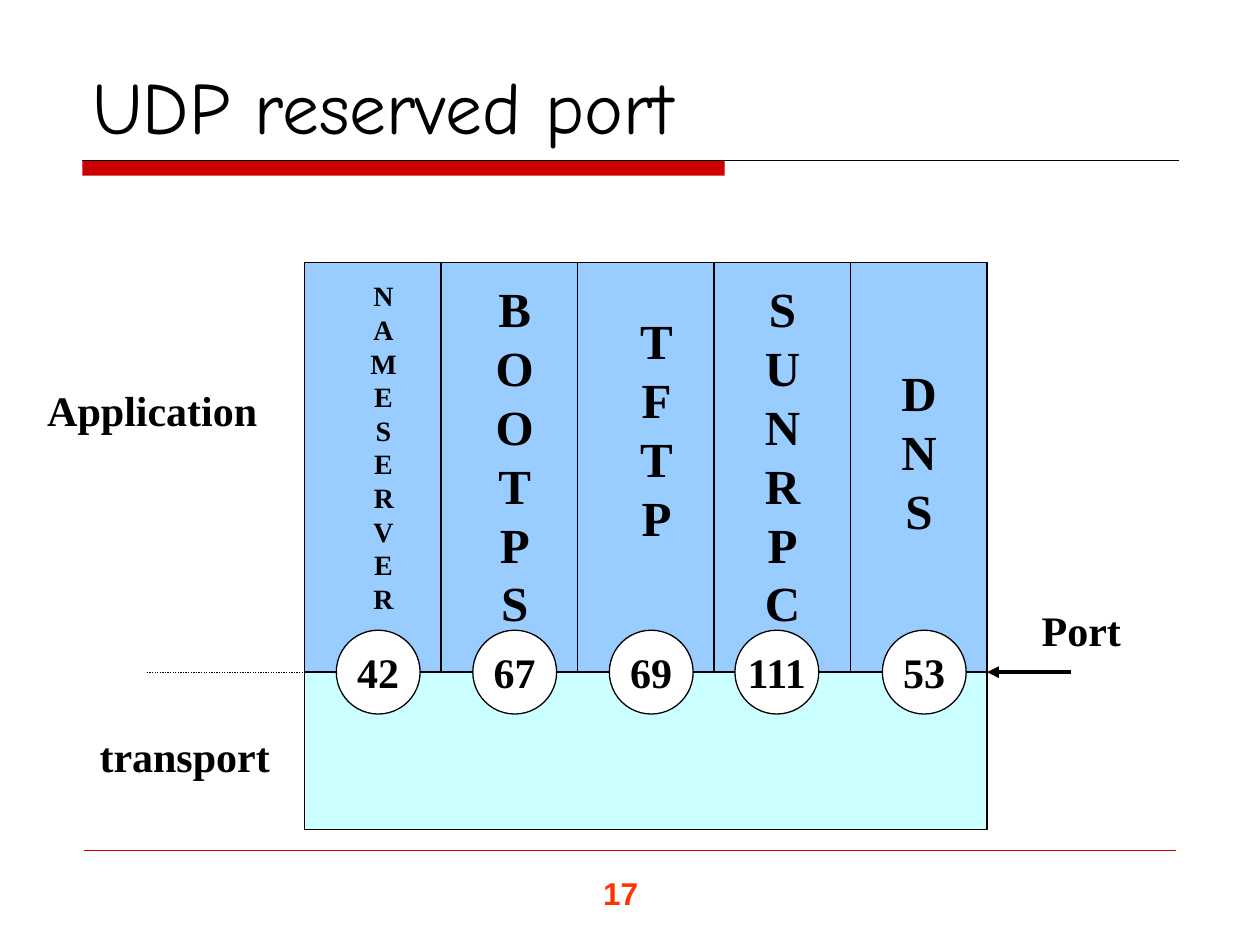
import dataclasses

import pptx
import pptx.dml.color
import pptx.enum.dml
import pptx.enum.shapes
import pptx.enum.text
import pptx.oxml.ns
import pptx.util
from lxml import etree

Cm = pptx.util.Cm
Pt = pptx.util.Pt
ALIGN = pptx.enum.text.PP_ALIGN
ANCHOR = pptx.enum.text.MSO_ANCHOR
SHAPE = pptx.enum.shapes.MSO_SHAPE


@dataclasses.dataclass(frozen=True)
class Theme:
    """Colours, fonts and type sizes of the slide."""
    ink: str = "000000"
    accent: str = "CC0000"
    page: str = "FF3300"
    application: str = "99CCFF"
    transport: str = "CCFFFF"
    port: str = "FFFFFF"
    title_font: str = "Comic Neue"
    body_font: str = "Times New Roman"
    page_font: str = "Arial"
    title_size: int = 42
    protocol_size: int = 28
    label_size: int = 24
    page_size: int = 18
    small_size: int = 16
    leading: float = 1.2


THEME = Theme()

PROTOCOLS = [
    ("NAMESERVER", "42", THEME.small_size, (1.06, 0.21, 1.06, 7.04), 0.64),
    ("BOOTPS", "67", THEME.protocol_size, (0.85, 0.21, 1.27, 7.37), 0.64),
    ("TFTP", "69", THEME.protocol_size, (0.85, 0.85, 1.48, 5), 0.64),
    ("SUNRPC", "111", THEME.protocol_size, (0.64, 0.21, 1.48, 7.37), 0.42),
    ("DNS", "53", THEME.protocol_size, (0.64, 1.9, 1.48, 3.81), 0.64),
]


def rgb(colour):
    """Return the colour object for a hex value."""
    return pptx.dml.color.RGBColor.from_string(colour)


def style_text(frame, words, size, font=THEME.body_font, colour=THEME.ink, bold=True,
               align=ALIGN.CENTER, leading=None):
    """Write one paragraph into a frame and format it."""
    frame.text = words
    paragraph = frame.paragraphs[0]
    paragraph.alignment = align
    if leading:
        paragraph.line_spacing = Pt(size * leading)
    run_font = paragraph.runs[0].font
    run_font.name, run_font.size, run_font.bold = font, Pt(size), bold
    run_font.color.rgb = rgb(colour)


def add_label(slide, box, words, size, anchor=ANCHOR.TOP, **style):
    """Place a wrapping text box in the given box."""
    frame = slide.shapes.add_textbox(*map(Cm, box)).text_frame
    frame.word_wrap = True
    frame.vertical_anchor = anchor
    style_text(frame, words, size, **style)


def add_block(slide, kind, box, fill, outlined=True):
    """Place a filled shape, outlined in ink unless told otherwise."""
    block = slide.shapes.add_shape(kind, *map(Cm, box))
    block.shadow.inherit = False
    block.fill.solid()
    block.fill.fore_color.rgb = rgb(fill)
    if outlined:
        block.line.color.rgb = rgb(THEME.ink)
        block.line.width = Pt(0.75)
    else:
        block.line.fill.background()
    return block


def add_rule(slide, left, right, top, colour, width):
    """Draw a level line without a shadow."""
    rule = slide.shapes.add_connector(
        pptx.enum.shapes.MSO_CONNECTOR.STRAIGHT, Cm(left), Cm(top), Cm(right), Cm(top))
    rule.line.color.rgb = rgb(colour)
    rule.line.width = Pt(width)
    etree.SubElement(rule._element.spPr, pptx.oxml.ns.qn("a:effectLst"))
    return rule


def add_header(slide, left, top, width):
    """Place the title over its thick and thin rules."""
    rule_top = top + 2.39
    add_block(slide, SHAPE.RECTANGLE, (left, rule_top, 12.95, 0.31), THEME.accent, False)
    add_rule(slide, left, left + width, rule_top, THEME.ink, 0.75)
    add_label(slide, (left - 0.05, top, width + 0.12, 2.29), "UDP reserved port",
              THEME.title_size, ANCHOR.BOTTOM, font=THEME.title_font, bold=False,
              align=ALIGN.LEFT)


def add_footer(slide, left, top, width):
    """Place the bottom rule and the page number."""
    add_rule(slide, left, left + width, top, THEME.accent, 0.25)
    add_label(slide, (left + 10.21, top + 0.35, 1.9, 1.02), "17", THEME.page_size,
              font=THEME.page_font, colour=THEME.page, align=ALIGN.LEFT)


def add_layers(slide, left, top, width, height):
    """Draw the protocol columns above the transport layer, joined by ports."""
    column_width = width / len(PROTOCOLS)
    column_height = 8.26
    border = top + column_height
    diameter = 1.69
    add_block(slide, SHAPE.RECTANGLE, (left, border, width, height - column_height),
              THEME.transport)
    columns = [left + index * column_width for index in range(len(PROTOCOLS))]
    for column in columns:
        add_block(slide, SHAPE.RECTANGLE, (column, top, column_width, column_height),
                  THEME.application)
    for column, (name, number, size, (dx, dy, w, h), port_dx) in zip(columns, PROTOCOLS):
        add_label(slide, (column + dx, top + dy, w, h), name, size, leading=THEME.leading)
        port = add_block(slide, SHAPE.OVAL,
                         (column + port_dx, border - diameter / 2, diameter, diameter),
                         THEME.port)
        port.text_frame.word_wrap = False
        port.text_frame.vertical_anchor = ANCHOR.MIDDLE
        style_text(port.text_frame, number, THEME.label_size)


def add_annotations(slide, left, right, border):
    """Name the layers on the left and point at the ports on the right."""
    divider = add_rule(slide, left - 3.18, left, border, THEME.ink, 0.75)
    divider.line.dash_style = pptx.enum.dml.MSO_LINE.ROUND_DOT
    for words, width, dy in (("Application", 6.14, -5.93), ("transport", 4.83, 1.06)):
        add_label(slide, (left - width, border + dy, width, 1.27), words,
                  THEME.label_size, leading=THEME.leading)
    arrow = add_rule(slide, right, right + 1.69, border, THEME.ink, 2.25)
    etree.SubElement(arrow.line._get_or_add_ln(), pptx.oxml.ns.qn("a:headEnd"),
                     type="triangle")
    add_label(slide, (right + 0.85, border - 1.48, 2.12, 1.27), "Port",
              THEME.label_size, align=ALIGN.LEFT, leading=THEME.leading)


def main():
    """Build the slide and save it."""
    deck = pptx.Presentation()
    deck.slide_width, deck.slide_height = Cm(25.4), Cm(19.05)
    slide = deck.slides.add_slide(deck.slide_layouts[6])
    add_header(slide, 1.66, 0.84, 22.1)
    add_footer(slide, 1.7, 17.15, 22)
    add_layers(slide, 6.14, 5.29, 13.76, 11.43)
    add_annotations(slide, 6.14, 19.9, 13.55)
    deck.save("out.pptx")


if __name__ == "__main__":
    main()
